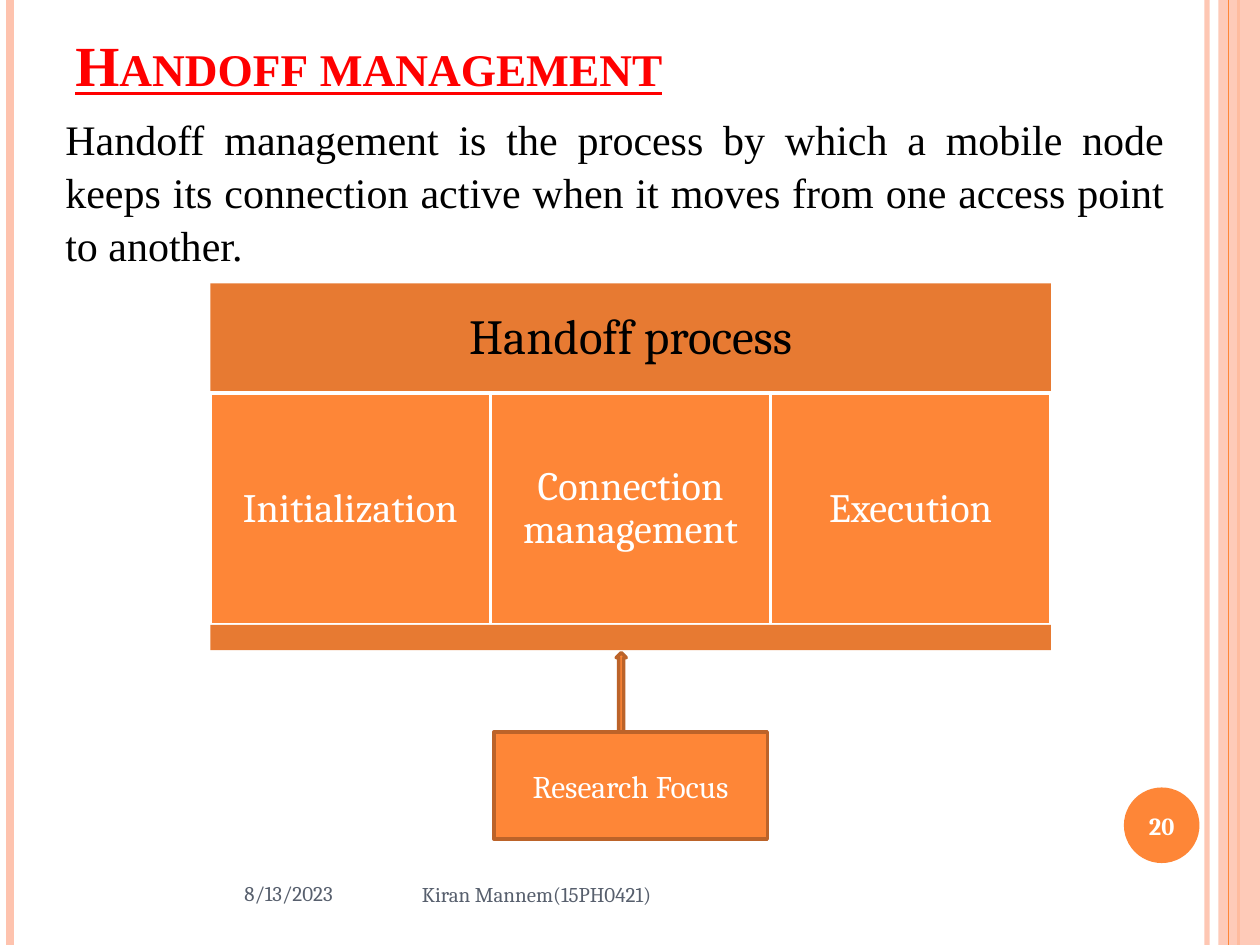
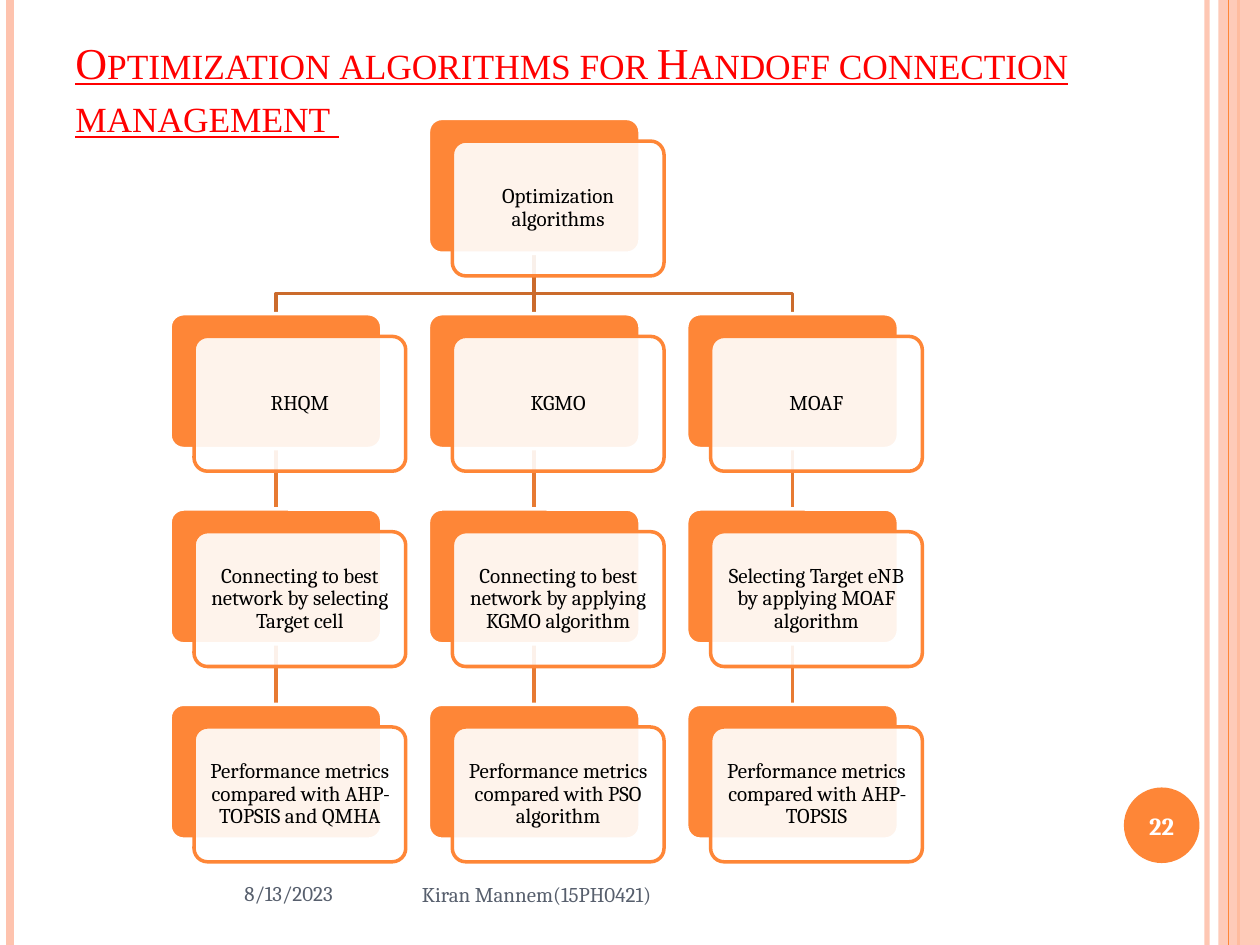
from lxml import etree
from pptx import Presentation
from pptx.dml.color import RGBColor
from pptx.enum.shapes import MSO_CONNECTOR, MSO_SHAPE
from pptx.enum.text import MSO_ANCHOR, PP_ALIGN
from pptx.oxml.ns import qn
from pptx.util import Inches, Pt

STRAIGHT = MSO_CONNECTOR.STRAIGHT
RECT, ROUND_RECT = MSO_SHAPE.RECTANGLE, MSO_SHAPE.ROUNDED_RECTANGLE
OVAL, UP_ARROW = MSO_SHAPE.OVAL, MSO_SHAPE.UP_ARROW
LEFT, CENTER, RIGHT, JUSTIFY = PP_ALIGN.LEFT, PP_ALIGN.CENTER, PP_ALIGN.RIGHT, PP_ALIGN.JUSTIFY
TOP, MIDDLE, BOTTOM = MSO_ANCHOR.TOP, MSO_ANCHOR.MIDDLE, MSO_ANCHOR.BOTTOM

COLORS = {
    "white": "FFFFFF", "black": "000000", "title": "FF0000", "footer": "575F6D",
    "orange": "FE8637", "peach": "FEC3AE", "band": "E77A32",
    "branch": "CB6B2C", "outline": "BC6329",
}
SERIF, BODY = "Times New Roman", "Cambria"
WIDTH, HEIGHT = 10, 7.5


def rgb(name):
    return RGBColor.from_string(COLORS[name])


def set_alpha(sp, percent):
    """Make the first colour of the shape (fill, or line if unfilled) translucent."""
    color = next(sp._element.spPr.iter(qn("a:srgbClr")))
    etree.SubElement(color, qn("a:alpha")).set("val", str(percent * 1000))


class Deck:
    def __init__(self):
        self.prs = Presentation()
        self.prs.slide_width, self.prs.slide_height = Inches(WIDTH), Inches(HEIGHT)
        self.s = None

    def slide(self, title, number, title_height, title_size, bold=False):
        """Start a slide with its side bands, title, footer and number."""
        self.s = self.prs.slides.add_slide(self.prs.slide_layouts[6])
        set_alpha(self.line(9.58, 0, 9.58, HEIGHT, "peach", 3), 93)
        self.line(0.08, 0, 0.08, HEIGHT, "peach", 4.5)
        self.line(9.83, 0, 9.83, HEIGHT, "orange", 1.5)
        set_alpha(self.shape(RECT, 9.67, 0, 0.33, HEIGHT, "peach"), 87)
        self.line(9.75, 0, 9.75, HEIGHT, "orange", 0.75)

        badge = self.shape(OVAL, 8.92, 6.25, 0.6, 0.6, "orange")
        self.label(badge, str(number), 14, inset=0, bold=True)

        p = self.text(title, 0.5, 0.3, 8.17, title_height, title_size, "title",
                      font=SERIF, anchor=BOTTOM, bold=bold)
        p.font.underline = True
        p._p.pPr.find(qn("a:defRPr")).set("cap", "small")

        self.text("8/13/2023", 0.54, 6.88, 2.2, 0.42, 12, "footer", RIGHT)
        self.text("Kiran Mannem(15PH0421)", 3.25, 6.9, 3.5, 0.4, 12, "footer")

    def label(self, sp, text, size, color="white", align=CENTER, font=BODY,
              anchor=MIDDLE, inset=None, spacing=None, bold=False):
        """Fill the shape with one styled paragraph."""
        tf = sp.text_frame
        tf.word_wrap = True
        tf.vertical_anchor = anchor
        if inset is not None:
            tf.margin_left = tf.margin_right = Inches(inset)
            tf.margin_top = tf.margin_bottom = Inches(inset)
        p = tf.paragraphs[0]
        p.text = text
        p.alignment = align
        p.line_spacing = spacing
        p.font.name, p.font.size, p.font.bold = font, Pt(size), bold
        p.font.color.rgb = rgb(color)
        return p

    def text(self, text, x, y, w, h, size, color, align=LEFT, **style):
        sp = self.s.shapes.add_textbox(Inches(x), Inches(y), Inches(w), Inches(h))
        return self.label(sp, text, size, color, align, **style)

    def shape(self, kind, x, y, w, h, fill, line=None):
        sp = self.s.shapes.add_shape(kind, Inches(x), Inches(y), Inches(w), Inches(h))
        sp.shadow.inherit = False
        sp.fill.solid()
        sp.fill.fore_color.rgb = rgb(fill)
        if line:
            sp.line.color.rgb = rgb(line)
            sp.line.width = Pt(2)
        else:
            sp.line.fill.background()
        return sp

    def line(self, x1, y1, x2, y2, color, width=2):
        sp = self.s.shapes.add_connector(STRAIGHT, Inches(x1), Inches(y1), Inches(x2), Inches(y2))
        sp.line.color.rgb = rgb(color)
        sp.line.width = Pt(width)
        etree.SubElement(sp._element.spPr, qn("a:effectLst"))
        return sp

    def elbow(self, points, color):
        """Draw an open bent line through the points."""
        start, *rest = [(Inches(x), Inches(y)) for x, y in points]
        builder = self.s.shapes.build_freeform(*start)
        builder.add_line_segments(rest, close=False)
        sp = builder.convert_to_shape()
        sp.shadow.inherit = False
        sp.fill.background()
        sp.line.color.rgb = rgb(color)
        sp.line.width = Pt(2)

    def card(self, text, x, y, w, h):
        """Draw an orange card with a translucent text card offset in front."""
        back = self.shape(ROUND_RECT, x, y, w, h, "orange", "white")
        front = self.shape(ROUND_RECT, x + 0.19, y + 0.18, w, h, "white", "orange")
        back.adjustments[0] = front.adjustments[0] = 0.1
        set_alpha(front, 90)
        self.label(front, text, 12, "black", inset=0.05, spacing=0.9)


def handoff_slide(deck):
    deck.slide("Handoff management", 20, 0.53, 32.4, bold=True)
    deck.text("Handoff management is the process by which a mobile node keeps its "
              "connection active when it moves from one access point to another.",
              0.42, 0.83, 8.92, 1.35, 24, "black", JUSTIFY,
              font=SERIF, anchor=TOP, spacing=1.05)

    left, width = 1.67, 6.67
    header = deck.shape(RECT, left, 2.25, width, 0.87, "band")
    deck.label(header, "Handoff process", 28, "black", inset=0.12, spacing=0.9)
    phases = ["Initialization", "Connection management", "Execution"]
    phase_width = width / len(phases)
    for i, phase in enumerate(phases):
        box = deck.shape(RECT, left + i * phase_width, 3.12, phase_width, 1.84, "orange", "white")
        deck.label(box, phase, 23, spacing=0.9)
    deck.shape(RECT, left, 4.96, width, 0.2, "band")

    deck.shape(UP_ARROW, 4.89, 5.18, 0.08, 0.63, "orange", "outline")
    focus = deck.shape(RECT, 3.92, 5.81, 2.17, 0.85, "orange", "outline")
    deck.label(focus, "Research Focus", 18)


def algorithms_slide(deck):
    deck.slide("Optimization algorithms for Handoff connection management ", 22, 0.87, 25.2)
    branches = [
        ["RHQM", "Connecting to best network by selecting Target cell",
         "Performance metrics compared with AHP-TOPSIS and QMHA"],
        ["KGMO", "Connecting to best network by applying KGMO algorithm",
         "Performance metrics compared with PSO algorithm"],
        ["MOAF", "Selecting Target eNB by applying MOAF algorithm",
         "Performance metrics compared with AHP-TOPSIS"],
    ]
    card_w, card_h = 1.68, 1.07
    lefts = [1.35 + 2.05 * i for i in range(len(branches))]
    tops = [0.94 + 1.55 * i for i in range(4)]
    root_left = lefts[1]
    root_x, root_bottom = root_left + card_w / 2, tops[0] + card_h

    for left in lefts:
        x = left + card_w / 2
        for upper, lower in zip(tops[1:], tops[2:]):
            deck.line(x, upper + card_h, x, lower, "band")
        if left == root_left:
            deck.line(x, root_bottom, x, tops[1], "branch")
        else:
            deck.elbow([(root_x, root_bottom), (root_x, 2.33), (x, 2.33), (x, tops[1])], "branch")

    deck.card("Optimization algorithms", root_left, tops[0], card_w, card_h)
    for left, branch in zip(lefts, branches):
        for top, label in zip(tops[1:], branch):
            deck.card(label, left, top, card_w, card_h)


def main():
    deck = Deck()
    handoff_slide(deck)
    algorithms_slide(deck)
    deck.prs.save("out.pptx")


if __name__ == "__main__":
    main()
